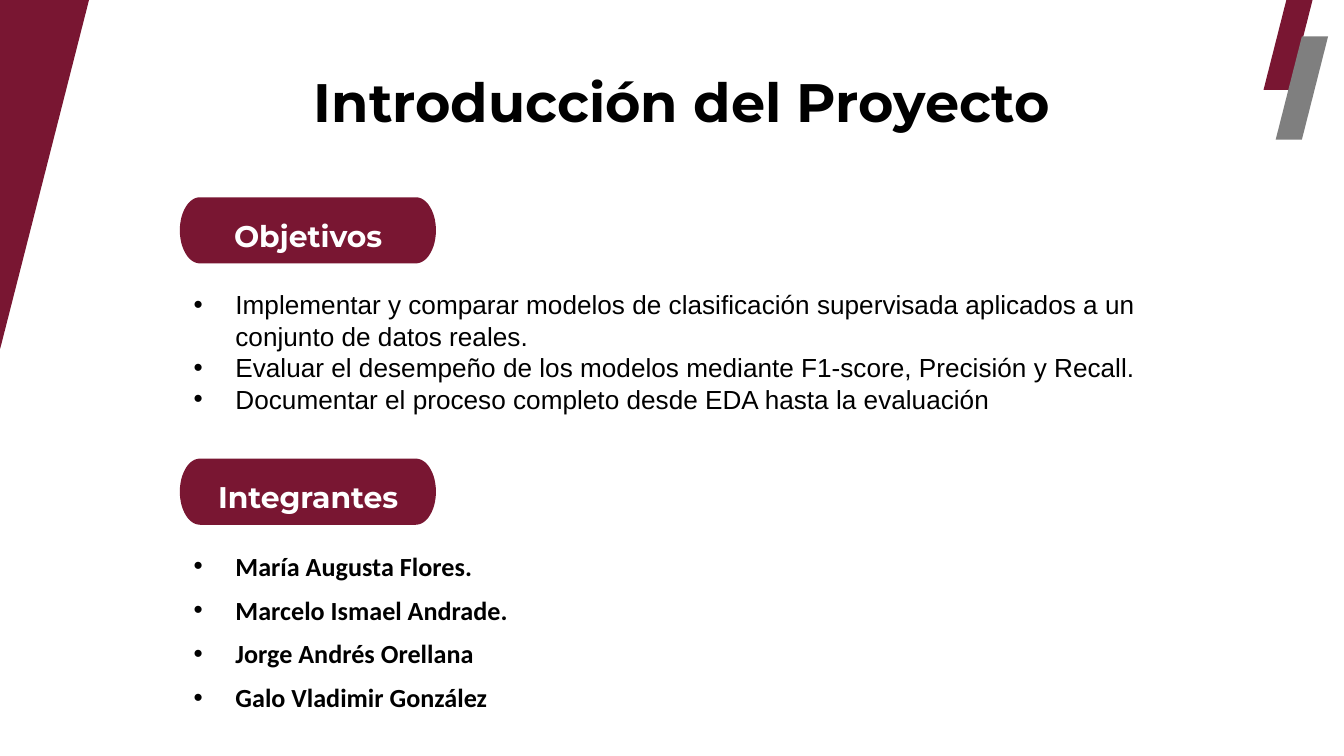
from dataclasses import dataclass
from math import cos, pi, sin

from lxml.etree import SubElement
from pptx import Presentation
from pptx.dml.color import RGBColor as Rgb
from pptx.enum.shapes import MSO_SHAPE as Preset
from pptx.enum.text import MSO_ANCHOR as Anchor, MSO_AUTO_SIZE as AutoSize, PP_ALIGN as Align
from pptx.oxml.ns import qn
from pptx.util import Cm, Pt

COLOURS = {"wine": "791632", "grey": "7F7F7F", "black": "000000", "white": "FFFFFF"}
BULLET_INDENT = 0.79
PILL_WIDTH, PILL_HEIGHT, CORNER_WIDTH = 4.84, 1.25, 0.38


@dataclass(frozen=True)
class Area:
    """A rectangle in centimetres."""
    left: float
    top: float
    width: float
    height: float

    def lengths(self) -> list:
        return [Cm(value) for value in (self.left, self.top, self.width, self.height)]


@dataclass(frozen=True)
class Style:
    font: str
    size: float
    colour: str = "black"
    bold: bool = False
    align: Align = Align.LEFT
    spacing: float = 1.0
    bullet: str = ""


@dataclass(frozen=True)
class Section:
    heading: str
    pill_top: float
    list_area: Area
    style: Style
    items: tuple


def paint(shape, colour: str) -> None:
    shape.shadow.inherit = False
    shape.fill.solid()
    shape.fill.fore_color.rgb = Rgb.from_string(COLOURS[colour])
    shape.line.fill.background()


def add_slant(page, area: Area, colour: str) -> None:
    shape = page.shapes.add_shape(Preset.PARALLELOGRAM, *area.lengths())
    shape.adjustments[0] = 0.5
    paint(shape, colour)


def add_pill(page, left: float, top: float) -> None:
    """Draw a bar whose ends are half ellipses."""
    radius = PILL_HEIGHT / 2
    points = []
    for centre, start in ((left + PILL_WIDTH - CORNER_WIDTH, -pi / 2),
                          (left + CORNER_WIDTH, pi / 2)):
        for step in range(33):
            angle = start + pi * step / 32
            points.append((Cm(centre + CORNER_WIDTH * cos(angle)),
                           Cm(top + radius + radius * sin(angle))))
    builder = page.shapes.build_freeform(*points[0])
    builder.add_line_segments(points[1:], close=True)
    paint(builder.convert_to_shape(), "wine")


def add_bullet(para, style: Style) -> None:
    properties = para._p.get_or_add_pPr()
    properties.set("marL", str(Cm(BULLET_INDENT)))
    properties.set("indent", str(-Cm(BULLET_INDENT)))
    colour = SubElement(properties, qn("a:buClr"))
    SubElement(colour, qn("a:srgbClr"), val=COLOURS[style.colour])
    SubElement(properties, qn("a:buFont"), typeface="Arial")
    SubElement(properties, qn("a:buChar"), char=style.bullet)


def add_text(page, area: Area, lines: tuple, style: Style, inset: float = 0,
             anchor: Anchor = Anchor.TOP, fit: AutoSize = AutoSize.SHAPE_TO_FIT_TEXT) -> None:
    box = page.shapes.add_textbox(*area.lengths())
    frame = box.text_frame
    frame_format = {"word_wrap": True, "auto_size": fit, "vertical_anchor": anchor}
    for side in ("left", "top", "right", "bottom"):
        frame_format[f"margin_{side}"] = Cm(inset)
    for name, value in frame_format.items():
        setattr(frame, name, value)
    for index, line in enumerate(lines):
        para = frame.add_paragraph() if index else frame.paragraphs[0]
        para.alignment = style.align
        para.line_spacing = style.spacing
        if style.bullet:
            add_bullet(para, style)
        span = para.add_run()
        span.text = line
        font_format = {"name": style.font, "size": Pt(style.size), "bold": style.bold}
        for name, value in font_format.items():
            setattr(span.font, name, value)
        span.font.color.rgb = Rgb.from_string(COLOURS[style.colour])


def add_section(page, section: Section) -> None:
    add_pill(page, 3.4, section.pill_top)
    add_text(page, Area(3.68, section.pill_top + 0.22, 4.29, 0.81), (section.heading,),
             HEADING, inset=0.08, anchor=Anchor.MIDDLE, fit=AutoSize.NONE)
    add_text(page, section.list_area, section.items, section.style)


TITLE = Style("Montserrat", 29, bold=True, align=Align.CENTER, spacing=1.2)
HEADING = Style("Montserrat", 16, "white", True, Align.CENTER, 1.3)
GOAL = Style("Arial", 14, bullet="•")
MEMBER = Style("Calibri", 14, bold=True, align=Align.JUSTIFY, spacing=1.4, bullet="•")

SLANTS = (
    (Area(-1.9, -0.89, 3.81, 7.48), "wine"),
    (Area(23.88, -0.25, 0.99, 1.95), "wine"),
    (Area(24.11, 0.69, 0.99, 1.95), "grey"),
)

SECTIONS = (
    Section("Objetivos", 3.73, Area(3.66, 5.46, 18.06, 2.39), GOAL, (
        "Implementar y comparar modelos de clasificación supervisada aplicados a un "
        "conjunto de datos reales.",
        "Evaluar el desempeño de los modelos mediante F1-score, Precisión y Recall.",
        "Documentar el proceso completo desde EDA hasta la evaluación",
    )),
    Section("Integrantes", 8.67, Area(3.66, 10.16, 18.06, 3.35), MEMBER, (
        "María Augusta Flores.",
        "Marcelo Ismael Andrade.",
        "Jorge Andrés Orellana",
        "Galo Vladimir González",
    )),
)


def main() -> None:
    deck = Presentation()
    deck.slide_width, deck.slide_height = Cm(25.4), Cm(14.29)
    page = deck.slides.add_slide(deck.slide_layouts[6])

    # Title
    add_text(page, Area(1.91, 1.04, 21.97, 1.5), ("Introducción del Proyecto",), TITLE)

    # Slanted corner bars
    for area, colour in SLANTS:
        add_slant(page, area, colour)

    # Headed lists
    for section in SECTIONS:
        add_section(page, section)

    deck.save("out.pptx")


if __name__ == "__main__":
    main()
